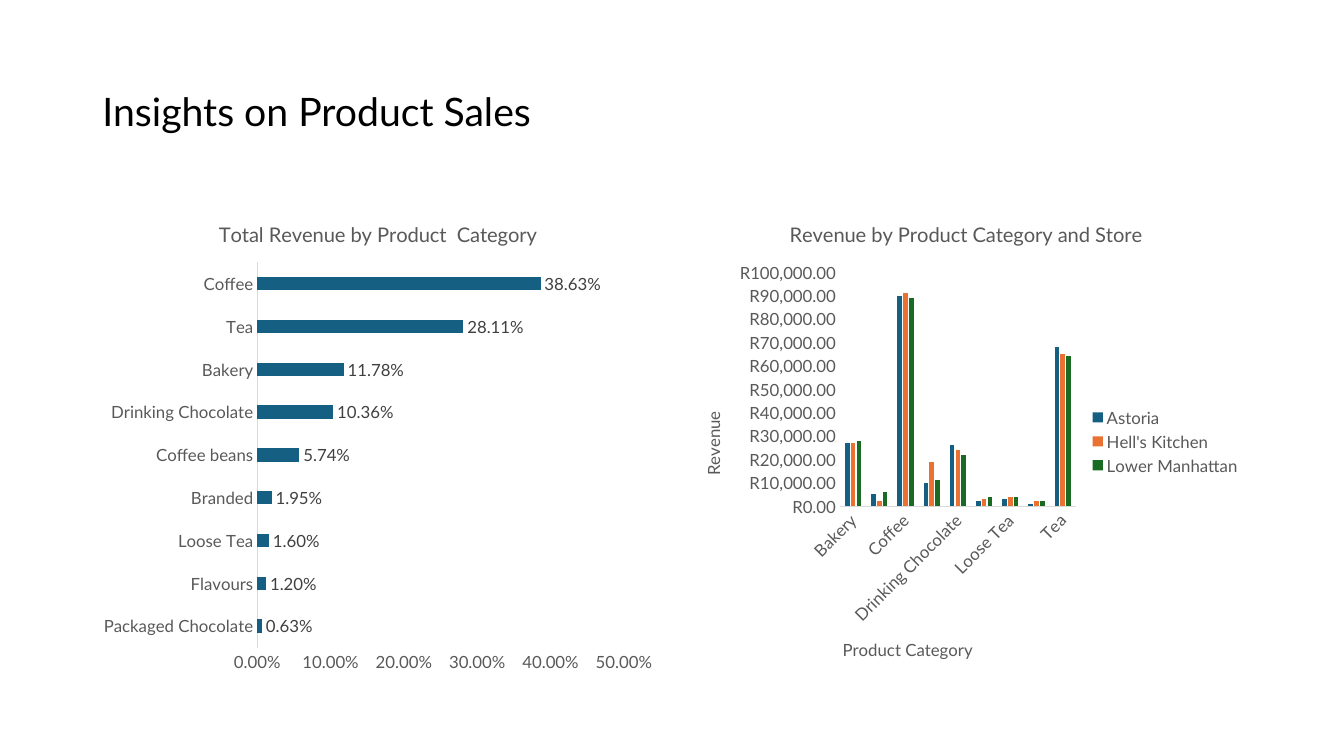
import pptx
import pptx.chart.data
import pptx.dml.color
import pptx.enum.chart
import pptx.enum.text
import pptx.util
from pptx.util import Pt

FONT = "Lato"
COLORS = {
    "title": "000000",
    "text": "595959",
    "label": "404040",
    "axis": "D9D9D9",
    "blue": "156082",
    "orange": "E97132",
    "green": "196B24",
}
PERCENT = "0.00%"
RAND = "[$R-1C09]#,##0.00;[Red][$R-1C09]#,##0.00"

CATEGORY_SHARES = {
    "Packaged Chocolate": 0.0063,
    "Flavours": 0.012,
    "Loose Tea": 0.016,
    "Branded": 0.0195,
    "Coffee beans": 0.0574,
    "Drinking Chocolate": 0.1036,
    "Bakery": 0.1178,
    "Tea": 0.2811,
    "Coffee": 0.3863,
}
STORE_REVENUE = {
    "Astoria": [27000, 5000, 90000, 10000, 26000, 2000, 3000, 1000, 68000],
    "Hell's Kitchen": [27000, 2000, 91000, 19000, 24000, 3000, 4000, 2000, 65000],
    "Lower Manhattan": [28000, 6000, 89000, 11000, 22000, 4000, 4000, 2000, 64000],
}


def rgb(name):
    return pptx.dml.color.RGBColor.from_string(COLORS[name])


def style_font(font, size, color):
    font.name = FONT
    font.size = Pt(size)
    font.bold = False
    font.color.rgb = rgb(color)


def set_heading(owner, text, size):
    """Title a chart or an axis."""
    frame = (owner.chart_title if hasattr(owner, "chart_title") else owner.axis_title).text_frame
    frame.text = text
    style_font(frame.paragraphs[0].font, size, "text")


def add_slide_title(slide, text):
    title = slide.shapes.title
    title.left, title.top, title.width, title.height = Pt(66), Pt(29), Pt(828), Pt(104.5)
    frame = title.text_frame
    frame.text = text
    frame.vertical_anchor = pptx.enum.text.MSO_ANCHOR.MIDDLE
    paragraph = frame.paragraphs[0]
    paragraph.alignment = pptx.enum.text.PP_ALIGN.LEFT
    paragraph.line_spacing = 0.9
    style_font(paragraph.font, 28, "title")


def add_bar_chart(slide, kind, left, heading, categories, series, colors,
                  number_format, maximum, step):
    data = pptx.chart.data.CategoryChartData(number_format=number_format)
    data.categories = categories
    for name, values in series.items():
        data.add_series(name, values)
    chart = slide.shapes.add_chart(kind, Pt(left), Pt(144), Pt(408), Pt(342.5), data).chart
    style_font(chart.font, 12, "text")
    set_heading(chart, heading, 14.4)
    chart.chart_title.include_in_layout = False
    chart.has_legend = False

    # Bars
    plot = chart.plots[0]
    plot.gap_width = 219
    plot.vary_by_categories = False
    for bars, color in zip(plot.series, colors):
        bars.invert_if_negative = False
        bars.format.fill.solid()
        bars.format.fill.fore_color.rgb = rgb(color)

    # Axes
    for axis in (chart.category_axis, chart.value_axis):
        axis.has_major_gridlines = False
        axis.major_tick_mark = axis.minor_tick_mark = pptx.enum.chart.XL_TICK_MARK.NONE
        style_font(axis.tick_labels.font, 12, "text")
    category_line = chart.category_axis.format.line
    category_line.color.rgb = rgb("axis")
    category_line.width = Pt(0.75)
    value_axis = chart.value_axis
    value_axis.format.line.fill.background()
    value_axis.minimum_scale = 0
    value_axis.maximum_scale = maximum
    value_axis.major_unit = step
    value_axis.tick_labels.number_format = number_format
    value_axis.tick_labels.number_format_is_linked = False
    return chart


def add_value_labels(chart):
    labels = chart.plots[0].series[0].data_labels
    labels.show_value = True
    labels.position = pptx.enum.chart.XL_LABEL_POSITION.OUTSIDE_END
    labels.number_format = PERCENT
    labels.number_format_is_linked = False
    style_font(labels.font, 12, "label")


def add_legend(chart):
    chart.has_legend = True
    chart.legend.position = pptx.enum.chart.XL_LEGEND_POSITION.RIGHT
    chart.legend.include_in_layout = False
    style_font(chart.legend.font, 12, "text")


def main():
    deck = pptx.Presentation()
    deck.slide_width, deck.slide_height = Pt(960), Pt(540)
    slide = deck.slides.add_slide(deck.slide_layouts[5])
    add_slide_title(slide, "Insights on Product Sales")

    # Share of revenue by category
    chart_type = pptx.enum.chart.XL_CHART_TYPE
    shares = add_bar_chart(
        slide, chart_type.BAR_CLUSTERED, 66, "Total Revenue by Product  Category",
        list(CATEGORY_SHARES), {"Series 1": list(CATEGORY_SHARES.values())},
        ["blue"], PERCENT, 0.5, 0.1)
    add_value_labels(shares)

    # Revenue by category and store
    revenue = add_bar_chart(
        slide, chart_type.COLUMN_CLUSTERED, 486, "Revenue by Product Category and Store",
        sorted(CATEGORY_SHARES), STORE_REVENUE,
        ["blue", "orange", "green"], RAND, 100000, 10000)
    revenue.plots[0].overlap = -27
    set_heading(revenue.category_axis, "Product Category", 12)
    set_heading(revenue.value_axis, "Revenue", 12)
    # Slant the category names by 45 degrees
    revenue.category_axis.tick_labels.font._element.getparent().getparent().getparent().find(
        pptx.oxml.ns.qn("a:bodyPr")).set("rot", "-2700000")
    add_legend(revenue)

    deck.save("out.pptx")


if __name__ == "__main__":
    main()
